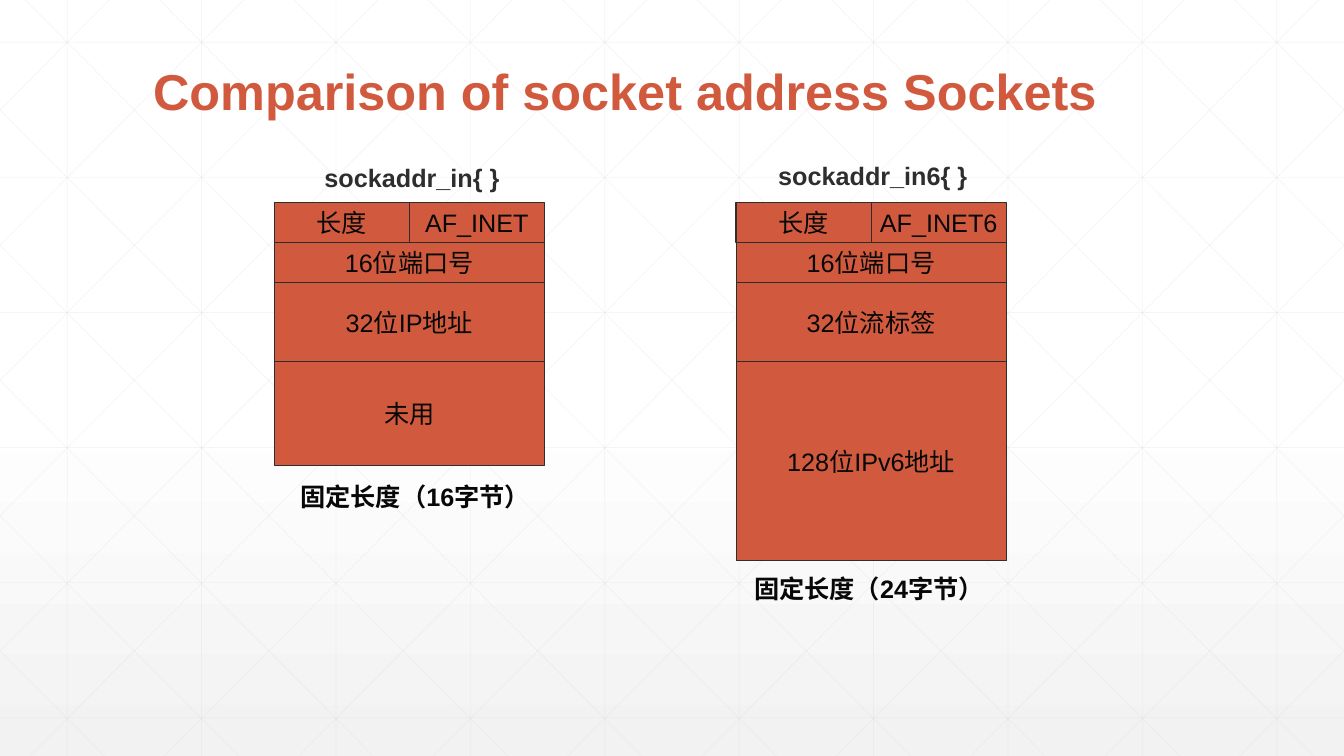
from dataclasses import dataclass

from lxml.etree import SubElement
from pptx import Presentation
from pptx.dml.color import RGBColor
from pptx.enum.shapes import MSO_CONNECTOR, MSO_SHAPE
from pptx.enum.text import MSO_ANCHOR, PP_ALIGN
from pptx.oxml.ns import qn
from pptx.util import Inches, Pt


@dataclass(frozen=True)
class Theme:
    font: str = "Arial"
    accent: str = "D15A3E"
    dark: str = "2D2E2D"
    ink: str = "080808"
    grid: str = "D9D9D9"
    white: str = "FFFFFF"
    shade: str = "F2F2F2"
    title_size: int = 36
    body_size: int = 18


THEME = Theme()
WIDTH, HEIGHT = 13.33, 7.5
COLUMN, ROW = 1.34, 0.395
GRID_STEP = WIDTH / 10

STRUCTURES = [
    {
        "box": (2.72, 2.01),
        "rows": [
            (1, ["长度", "AF_INET"]),
            (1, ["16位端口号"]),
            (2, ["32位IP地址"]),
            (2.6, ["未用"]),
        ],
        "heading": ("sockaddr_in{ }", 0.4, -0.45, 1.94),
        "caption": ("固定长度（16字节）", 0.16, 0.11, 2.52),
    },
    {
        "box": (7.3, 2.01),
        "rows": [
            (1, ["长度", "AF_INET6"]),
            (1, ["16位端口号"]),
            (2, ["32位流标签"]),
            (5, ["128位IPv6地址"]),
        ],
        "heading": ("sockaddr_in6{ }", 0.32, -0.47, 2.08),
        "caption": ("固定长度（24字节）", 0.08, 0.07, 2.52),
    },
]


def inches(*lengths):
    return [Inches(length) for length in lengths]


def write(shape, text, size, color, bold=False, wrap=False):
    frame = shape.text_frame
    frame.word_wrap = wrap
    para = frame.paragraphs[0]
    span = para.add_run()
    span.text = text
    span.font.name = THEME.font
    span.font.size = Pt(size)
    span.font.bold = bold
    span.font.color.rgb = RGBColor.from_string(color)
    return para


def add_grid_line(shapes, start, end):
    line = shapes.add_connector(MSO_CONNECTOR.STRAIGHT, *inches(*start, *end))
    line.line.width = Pt(0.5)
    line.line.color.rgb = RGBColor.from_string(THEME.grid)
    properties = line._element.spPr
    color = properties.find(".//" + qn("a:srgbClr"))
    SubElement(color, qn("a:alpha"), val="25000")
    SubElement(properties, qn("a:effectLst"))


def draw_background(page):
    fill = page.background.fill
    fill.gradient()
    fill.gradient_angle = 270
    stops = zip(fill.gradient_stops, (0.53, 1), (THEME.white, THEME.shade))
    for stop, position, color in stops:
        stop.position = position
        stop.color.rgb = RGBColor.from_string(color)

    shapes = page.shapes.add_group_shape().shapes
    for column in range(10):
        x = GRID_STEP * (column + 0.5)
        add_grid_line(shapes, (x, 0), (x, HEIGHT))
    for row in range(6):
        y = 0.42 + 1.34 * row
        add_grid_line(shapes, (0, y), (WIDTH, y))

    run = 7.45
    slope = HEIGHT / run
    for step in range(-5, 10):
        origin = 0.25 + GRID_STEP * step
        left, right = max(origin, 0), min(origin + run, WIDTH)
        top, bottom = (left - origin) * slope, (right - origin) * slope
        add_grid_line(shapes, (left, top), (right, bottom))
        add_grid_line(shapes, (WIDTH - left, top), (WIDTH - right, bottom))


def draw_title(page, text, left, top, width, height):
    title = page.shapes.add_textbox(*inches(left, top, width, height))
    title.text_frame.vertical_anchor = MSO_ANCHOR.BOTTOM
    para = write(title, text, THEME.title_size, THEME.accent, bold=True, wrap=True)
    para.line_spacing = 0.9


def draw_field(shapes, text, left, top, width, height):
    field = shapes.add_shape(MSO_SHAPE.RECTANGLE, *inches(left, top, width, height))
    field.shadow.inherit = False
    field.fill.solid()
    field.fill.fore_color.rgb = RGBColor.from_string(THEME.accent)
    field.line.color.rgb = RGBColor.from_string(THEME.dark)
    field.line.width = Pt(0.75)
    field.text_frame.vertical_anchor = MSO_ANCHOR.MIDDLE
    para = write(field, text, THEME.body_size, THEME.ink)
    para.alignment = PP_ALIGN.CENTER


def draw_label(shapes, label, left, top, color, wrap):
    text, shift_x, shift_y, width = label
    box = shapes.add_textbox(*inches(left + shift_x, top + shift_y, width, 0.4))
    write(box, text, THEME.body_size, color, bold=True, wrap=wrap)


def draw_structure(page, box, rows, heading, caption):
    left, top = box
    shapes = page.shapes.add_group_shape().shapes
    bottom = top
    for units, names in rows:
        width, height = 2 * COLUMN / len(names), units * ROW
        for index, name in enumerate(names):
            draw_field(shapes, name, left + index * width, bottom, width, height)
        bottom += height
    draw_label(shapes, heading, left, top, THEME.dark, wrap=False)
    draw_label(shapes, caption, left, bottom, THEME.ink, wrap=True)


def main():
    deck = Presentation()
    deck.slide_width, deck.slide_height = inches(WIDTH, HEIGHT)
    page = deck.slides.add_slide(deck.slide_layouts[6])
    draw_background(page)
    draw_title(page, "Comparison of socket address Sockets", 1.42, 0, 10.5, 1.25)
    for structure in STRUCTURES:
        draw_structure(page, **structure)
    deck.save("out.pptx")


if __name__ == "__main__":
    main()
